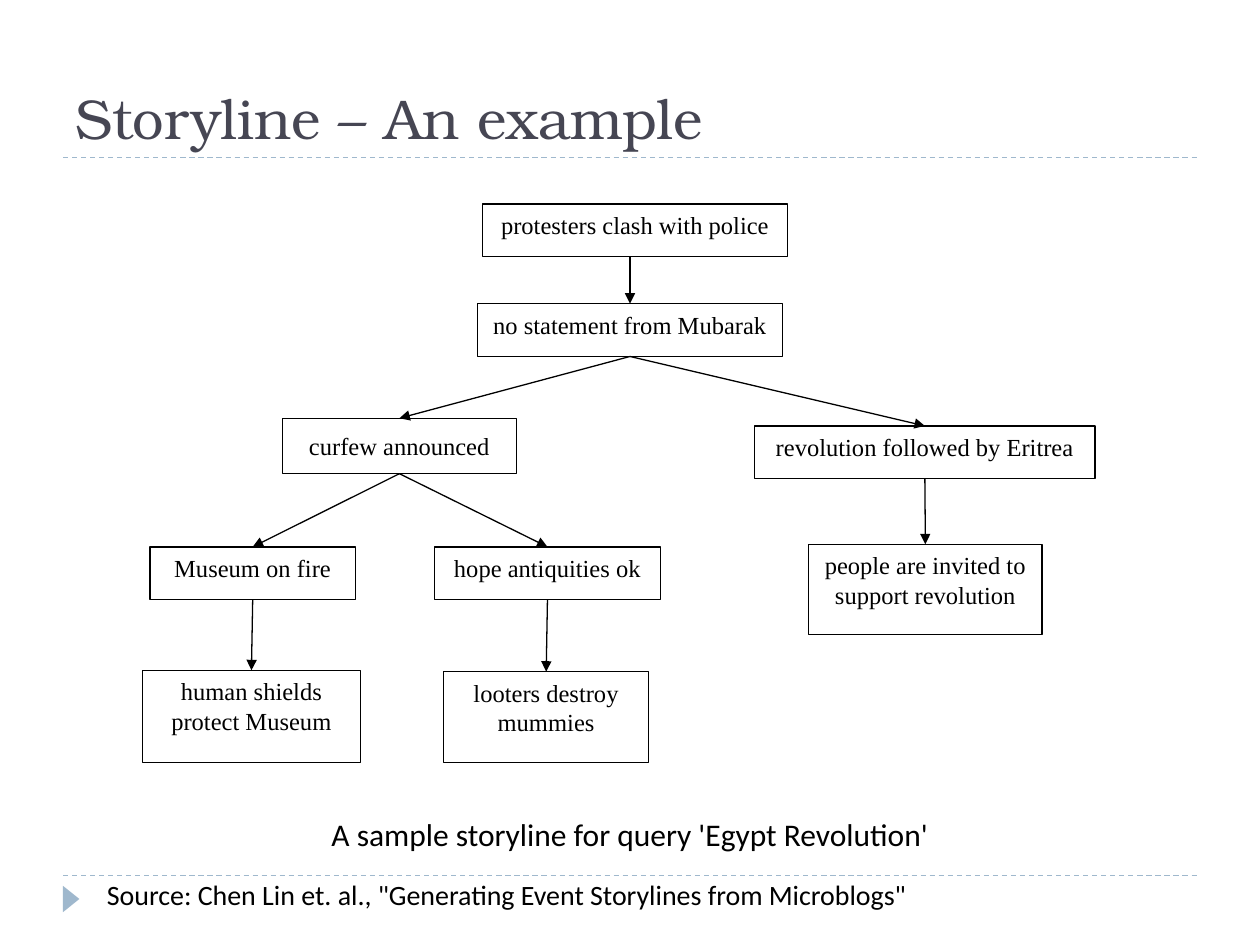
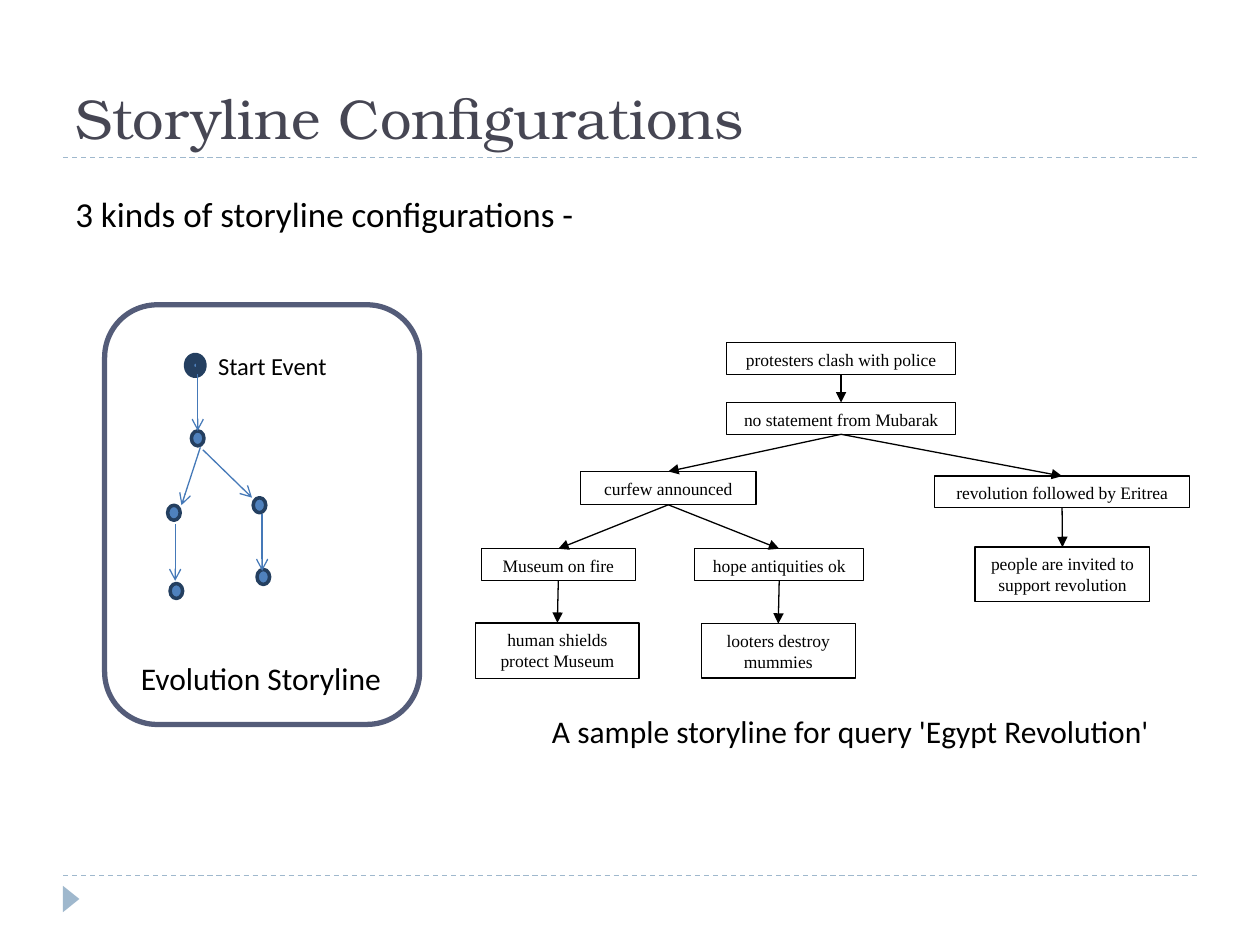
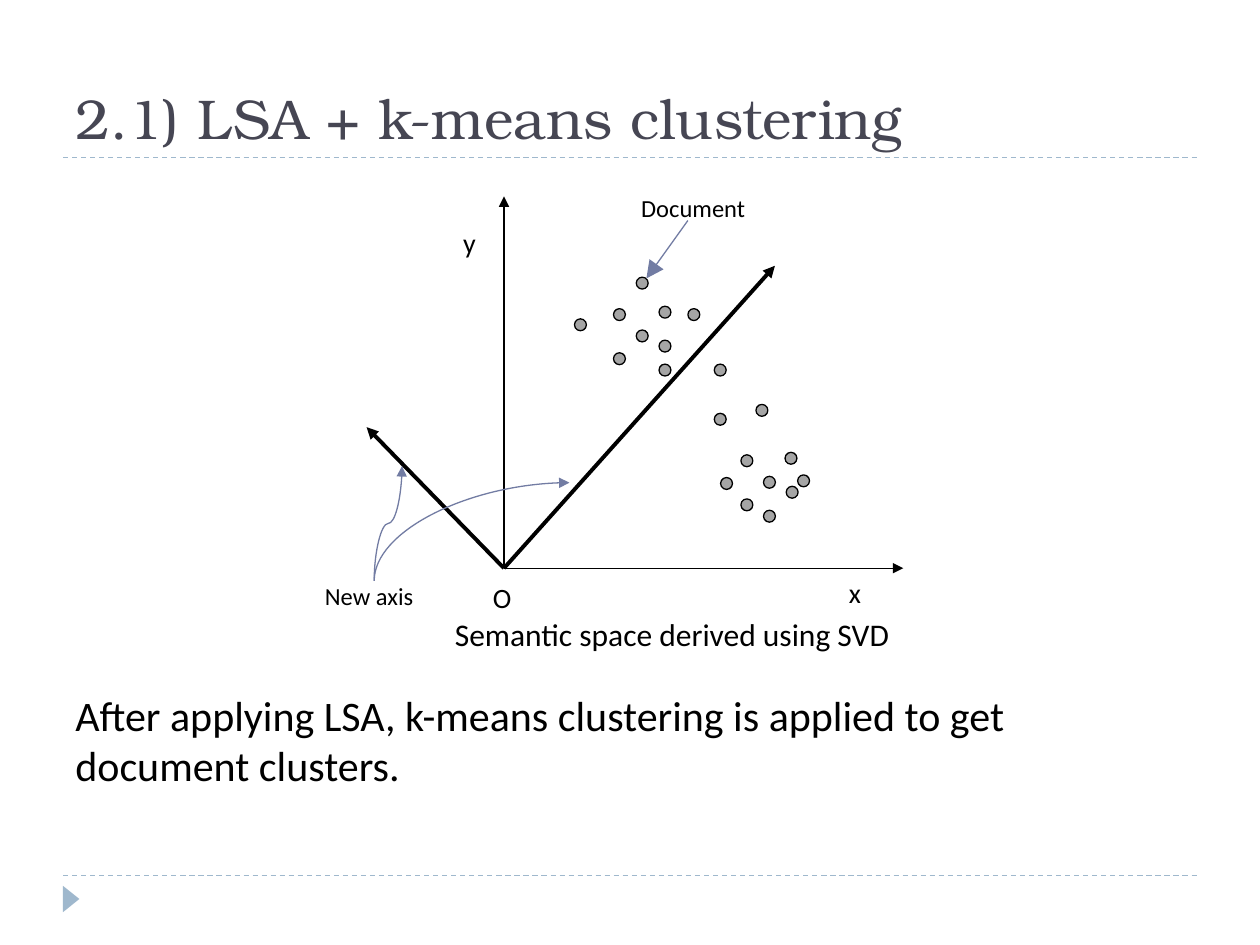
"""Builds three slides on storylines and document clustering."""
from lxml.etree import SubElement
from pptx import Presentation
from pptx.dml.color import RGBColor
from pptx.enum.dml import MSO_LINE
from pptx.enum.shapes import MSO_CONNECTOR, MSO_SHAPE
from pptx.enum.text import MSO_ANCHOR, MSO_AUTO_SIZE, PP_ALIGN
from pptx.oxml.ns import qn
from pptx.util import Pt

COLORS = {
    "title": "464653", "band": "9FB8CD", "text": "000000", "paper": "FFFFFF",
    "pointer": "727CA3", "panel": "545C79", "event": "4F81BD",
    "event_edge": "243F60", "event_arrow": "4579B8", "document": "A5A5A5",
}
TITLE_FONT, BODY_FONT, NODE_FONT = "TeX Gyre Bonum", "Calibri", "Times New Roman"
CAPTION = "A sample storyline for query 'Egypt Revolution'"

STORY_FRAME = (54, 102.2, 617.8, 346.3)
STORY_NODES = {
    "clash": ("protesters clash with police", 272.9, 116.6, 174.2, 30.2),
    "statement": ("no statement from Mubarak", 272.9, 173.5, 174.2, 30.2),
    "curfew": ("curfew announced", 161.3, 239, 133.9, 31.7),
    "eritrea": ("revolution followed by Eritrea", 431.3, 243.4, 194.4, 30.2),
    "fire": ("Museum on fire", 85.7, 312.5, 117.4, 30.2),
    "hope": ("hope antiquities ok", 248.4, 312.5, 128.9, 30.2),
    "shields": ("human shields\nprotect Museum", 81.4, 383, 124.6, 52.6),
    "looters": ("looters destroy mummies", 253.4, 383.8, 117.4, 51.8),
    "people": ("people are invited to support revolution", 462.2, 311, 133.2, 51.8),
}
STORY_LINKS = [
    ("clash", "statement"), ("statement", "curfew"), ("statement", "eritrea"),
    ("curfew", "fire"), ("curfew", "hope"), ("fire", "shields"),
    ("hope", "looters"), ("eritrea", "people"),
]
EVENT_DOTS = [(109.4, 246.2), (95.8, 288.7), (144.7, 284.4), (146.9, 325.4), (97.2, 333.4)]
EVENT_ARROWS = [
    (113, 213.8, 113, 246.2), (100.1, 299.5, 100.1, 331.9),
    (114.5, 255.6, 103.7, 288.7), (149.8, 293.8, 149.8, 326.2),
    (115.9, 257, 144, 284.4),
]
DOCUMENTS = [
    (432, 231.1), (408.2, 236.2), (408.2, 208.1), (328.3, 182.2), (350.6, 176.4),
    (350.6, 201.6), (376.6, 194.4), (376.6, 175), (363.6, 188.6), (363.6, 158.4),
    (393.1, 176.4), (376.6, 208.1), (411.8, 272.9), (423.4, 259.9), (423.4, 285.1),
    (449.3, 277.9), (448.6, 258.5), (436.3, 272.2), (455.8, 271.4), (436.3, 291.6),
]
ORIGIN = (288, 324.7)
AXES = [(288, 112.3, 0.75), (516.2, 324.7, 0.75), (209.5, 244.1, 2.25), (442.8, 151.9, 2.25)]


def color(name):
    return RGBColor.from_string(COLORS[name])


class SlideBuilder:
    def __init__(self):
        self.deck = Presentation()
        self.deck.slide_width, self.deck.slide_height = Pt(720), Pt(540)
        self.page = None

    def new_page(self, title):
        self.page = self.deck.slides.add_slide(self.deck.slide_layouts[5])
        for y in (500.4, 90):
            self.line(36, y, 684, y, "band", dash=MSO_LINE.DASH, arrow=None)
        marker = self.shape(MSO_SHAPE.ISOSCELES_TRIANGLE, 33.1, 509, 15.1, 9.4, "band")
        marker.rotation = 90
        box = self.page.shapes.title
        box.left, box.top, box.width, box.height = Pt(36), Pt(12.2), Pt(648), Pt(77.8)
        self.fill_text(box, title, 32, TITLE_FONT, "title", anchor=MSO_ANCHOR.BOTTOM)

    def fill_text(self, box, text, size, font=BODY_FONT, ink="text",
                  align=PP_ALIGN.LEFT, anchor=MSO_ANCHOR.TOP):
        frame = box.text_frame
        frame.text = text
        frame.word_wrap = True
        frame.auto_size = MSO_AUTO_SIZE.NONE
        frame.vertical_anchor = anchor
        for para in frame.paragraphs:
            para.alignment = align
            for span in para.runs:
                span.font.name, span.font.size = font, Pt(size)
                span.font.color.rgb = color(ink)

    def text(self, text, left, top, width, height, size, **style):
        box = self.page.shapes.add_textbox(Pt(left), Pt(top), Pt(width), Pt(height))
        self.fill_text(box, text, size, **style)
        return box

    def label(self, text, left, top, width, height, size, align=PP_ALIGN.CENTER):
        box = self.text(text, left, top, width, height, size,
                        align=align, anchor=MSO_ANCHOR.MIDDLE)
        frame = box.text_frame
        frame.margin_left = frame.margin_right = frame.margin_top = frame.margin_bottom = 0

    def shape(self, kind, left, top, width, height, fill=None, edge=None, weight=0.75):
        shape = self.page.shapes.add_shape(kind, Pt(left), Pt(top), Pt(width), Pt(height))
        shape.shadow.inherit = False
        if fill:
            shape.fill.solid()
            shape.fill.fore_color.rgb = color(fill)
        else:
            shape.fill.background()
        if edge:
            shape.line.color.rgb = color(edge)
            shape.line.width = Pt(weight)
        else:
            shape.line.fill.background()
        return shape

    def line(self, x1, y1, x2, y2, ink="text", weight=0.75, dash=None,
             arrow="triangle", arrow_size="med", kind=MSO_CONNECTOR.STRAIGHT):
        line = self.page.shapes.add_connector(kind, Pt(x1), Pt(y1), Pt(x2), Pt(y2))
        line.line.color.rgb = color(ink)
        line.line.width = Pt(weight)
        if dash:
            line.line.dash_style = dash
        properties = line.element.spPr
        if arrow:
            SubElement(properties.find(qn("a:ln")), qn("a:tailEnd"),
                       type=arrow, w=arrow_size, len=arrow_size)
        SubElement(properties, qn("a:effectLst"))
        return line

    def rising_curve(self, x1, y1, x2, y2, preset):
        center_x, center_y = (x1 + x2) / 2, (y1 + y2) / 2
        half_width, half_height = (y1 - y2) / 2, (x2 - x1) / 2
        curve = self.line(center_x + half_width, center_y + half_height,
                          center_x - half_width, center_y - half_height,
                          "pointer", kind=MSO_CONNECTOR.CURVE)
        properties = curve.element.spPr
        properties.find(qn("a:xfrm")).set("rot", "5400000")
        properties.find(qn("a:prstGeom")).set("prst", preset)

    def storyline(self, left, top, width, height, size, start_shift=0):
        base_left, base_top, base_width, base_height = STORY_FRAME
        scale_x, scale_y = width / base_width, height / base_height
        places = {}
        for name, (text, x, y, node_width, node_height) in STORY_NODES.items():
            place = (left + (x - base_left) * scale_x, top + (y - base_top) * scale_y,
                     node_width * scale_x, node_height * scale_y)
            places[name] = place
            shift = start_shift if name == "clash" else 0
            box = self.shape(MSO_SHAPE.RECTANGLE, place[0] + shift, *place[1:],
                             "paper", "text")
            anchor = MSO_ANCHOR.MIDDLE if name == "curfew" else MSO_ANCHOR.TOP
            self.fill_text(box, text, size, NODE_FONT, align=PP_ALIGN.CENTER, anchor=anchor)
        for parent, child in STORY_LINKS:
            x1, y1, parent_width, parent_height = places[parent]
            x2, y2, child_width, _ = places[child]
            self.line(x1 + parent_width / 2, y1 + parent_height, x2 + child_width / 2, y2)


def build_example(builder):
    builder.new_page("Storyline – An example")
    builder.storyline(*STORY_FRAME, size=14, start_shift=2.9)
    builder.text(CAPTION, 54, 462.2, 612, 28.8, 18, align=PP_ALIGN.CENTER)
    builder.text('Source: Chen Lin et. al., "Generating Event Storylines from Microblogs"',
                 54, 498.2, 630, 26.6, 16)


def build_configurations(builder):
    builder.new_page("Storyline Configurations")
    intro = builder.text("3 kinds of storyline configurations -", 36, 106.6, 648, 37.4, 20)
    intro.text_frame.paragraphs[0].space_before = Pt(6)
    builder.text(CAPTION, 288, 403.2, 396, 28.8, 18, align=PP_ALIGN.CENTER)
    builder.storyline(251.3, 187.2, 463, 208.1, size=10)
    builder.shape(MSO_SHAPE.OVAL, 108, 204.5, 7.2, 8.6, "event", "event_edge", 6)
    for left, top in EVENT_DOTS:
        builder.shape(MSO_SHAPE.OVAL, left, top, 7.2, 8.6, "event", "event_edge", 2)
    for ends in EVENT_ARROWS:
        builder.line(*ends, "event_arrow", arrow="arrow")
    builder.label("Start Event", 124.6, 198, 81.4, 21.6, 14, PP_ALIGN.LEFT)
    name = builder.text("Evolution Storyline", 73.4, 373, 160.6, 28.8, 18)
    name.text_frame.word_wrap = False
    builder.shape(MSO_SHAPE.ROUNDED_RECTANGLE, 59.8, 174.2, 180, 239.8,
                  edge="panel", weight=3)


def build_clustering(builder):
    builder.new_page("2.1) LSA + k-means clustering")
    builder.text("Semantic space derived using SVD", 246.2, 347.8, 275.8, 28.8, 18,
                 align=PP_ALIGN.CENTER)
    for x, y, weight in AXES:
        builder.line(*ORIGIN, x, y, weight=weight)
    for left, top in DOCUMENTS:
        builder.shape(MSO_SHAPE.OVAL, left, top, 6.8, 6.8, "document", "text")
    builder.label("x", 474.5, 326.9, 28.1, 23, 16)
    builder.label("O", 272.2, 329.8, 29.5, 23, 16)
    builder.label("y", 252.7, 126, 31, 25.2, 16)
    builder.rising_curve(213.8, 331.9, 229.7, 266.4, "curvedConnector3")
    builder.rising_curve(213.8, 331.9, 325.4, 275.8, "curvedConnector2")
    axis_label = builder.text("New axis", 178.6, 331.9, 69.8, 20.9, 14)
    axis_label.text_frame.margin_top = 0
    builder.line(393.1, 126, 369.4, 159.1, "pointer", arrow_size="lg")
    builder.text("Document", 359.3, 106.6, 85, 24.5, 14)
    builder.text("After applying LSA, k-means clustering is applied to get document clusters.",
                 36, 390.2, 648, 65.5, 24)


def main():
    builder = SlideBuilder()
    build_example(builder)
    build_configurations(builder)
    build_clustering(builder)
    builder.deck.save("out.pptx")


if __name__ == "__main__":
    main()
